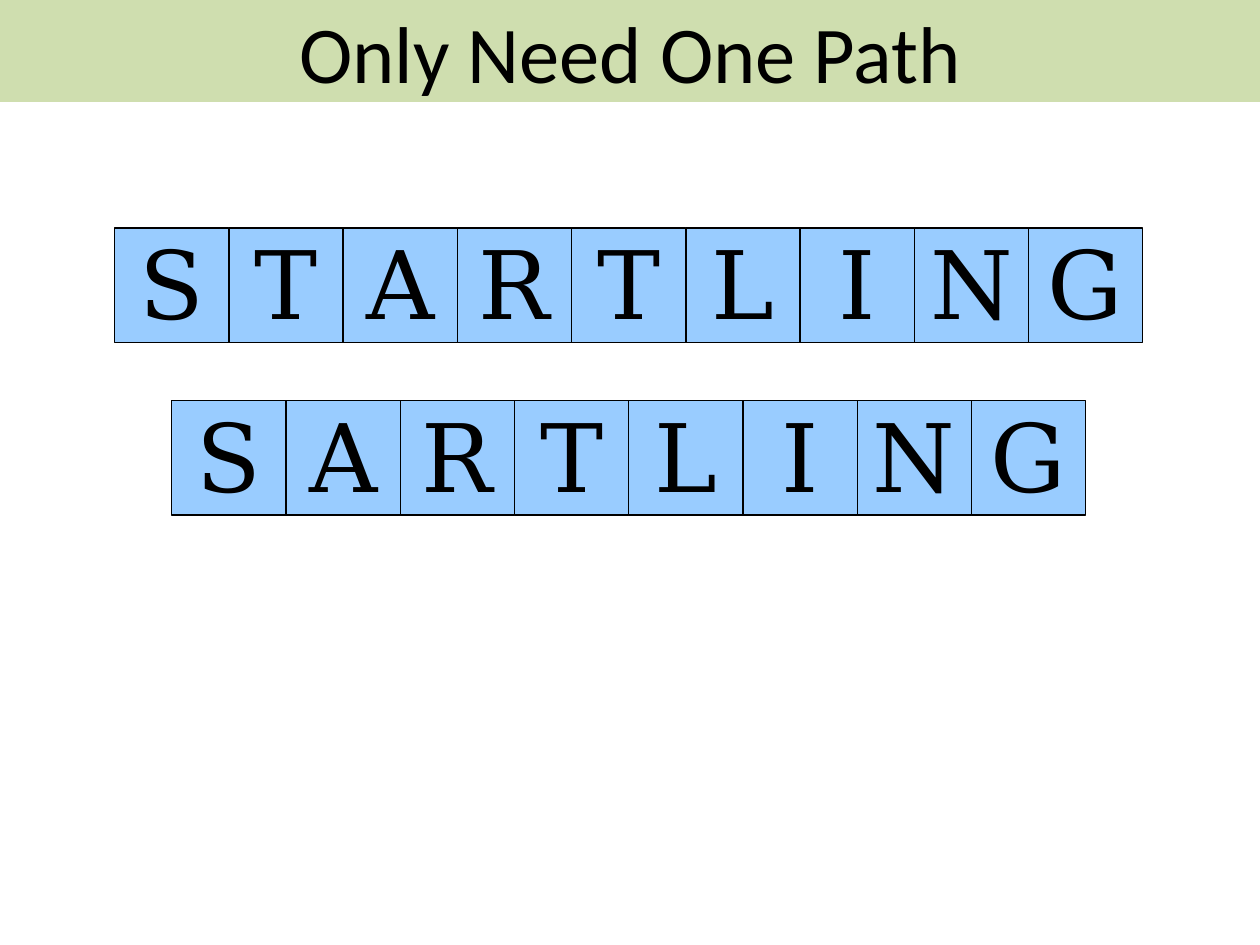
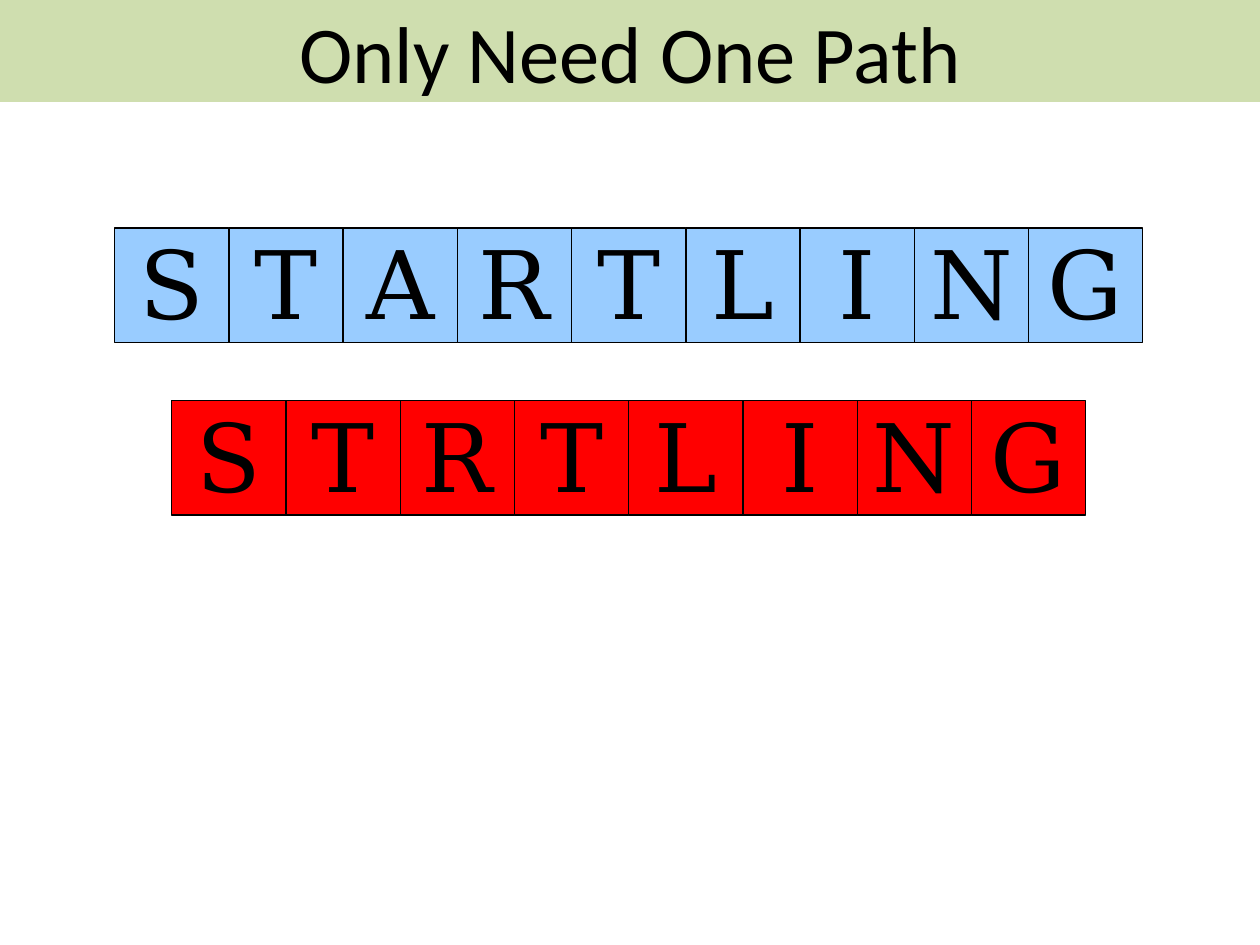
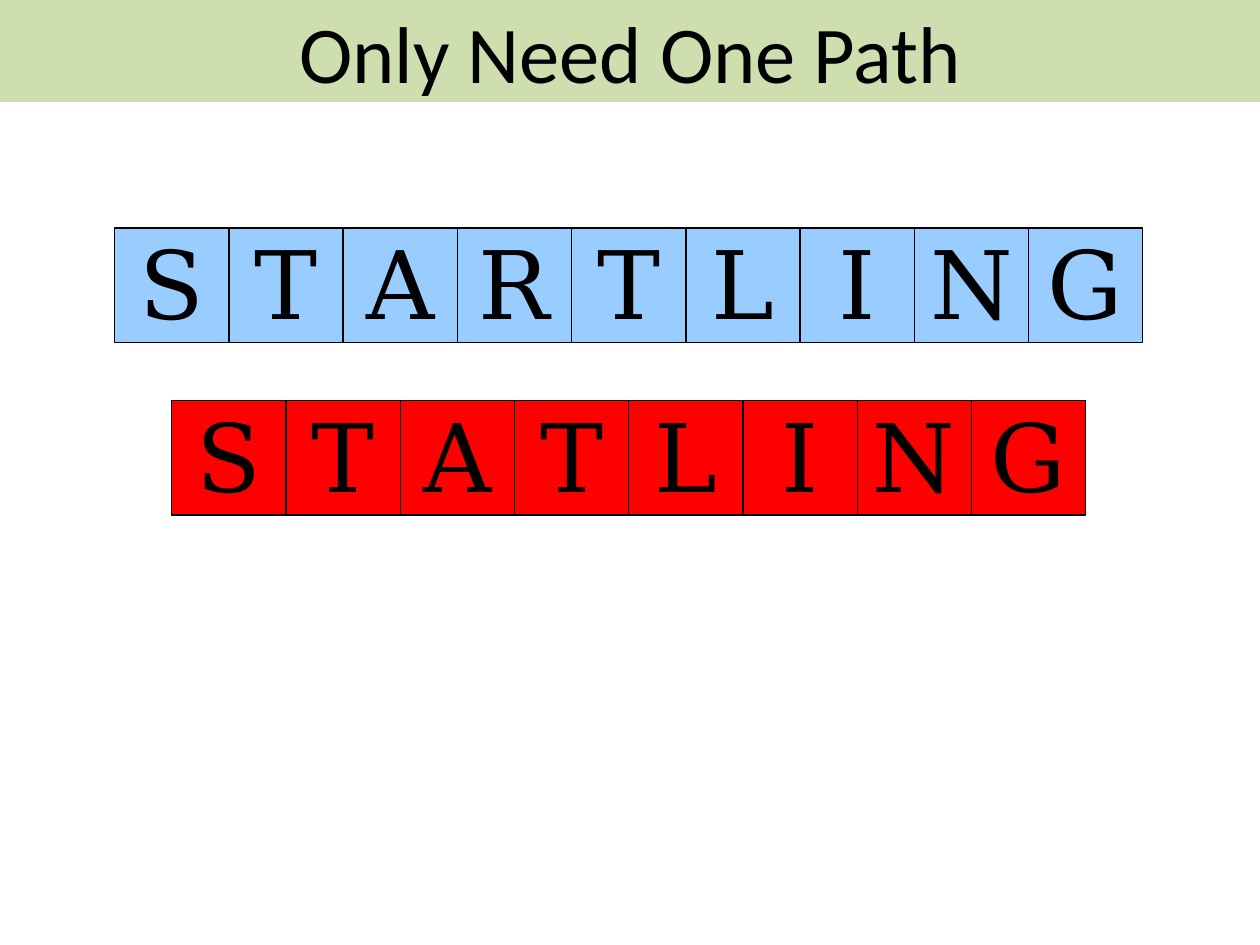
from lxml import etree
from pptx import Presentation
from pptx import util as u
from pptx.dml.color import RGBColor
from pptx.enum import shapes, text
from pptx.oxml.ns import qn

# Content: each slide shows a word and the word with one letter removed
TITLE = "Only Need One Path"
WORD = "STARTLING"
BLUE, RED, GREEN, BLACK = "99CCFF", "FF0000", "C3D69B", "000000"
REMOVALS = [("SARTLING", BLUE), ("STRTLING", RED), ("STATLING", RED)]

# Layout in inches
SLIDE_WIDTH, SLIDE_HEIGHT = 10, 7.5
BAND_HEIGHT = 0.81
BAND_OPACITY = 80
ROW_CENTER = 4.99
TILE = 8.16 / len(WORD)
WORD_TOP, REMOVAL_TOP = 1.81, 3.18

# Formats
TITLE_FONT = {"name": "Calibri", "size": u.Pt(46)}
TILE_FONT = {"name": "DejaVu Serif", "size": u.Pt(54)}
TITLE_FRAME = {
    "auto_size": text.MSO_AUTO_SIZE.NONE,
    "vertical_anchor": text.MSO_ANCHOR.MIDDLE,
    "word_wrap": True,
}
TILE_FRAME = {
    "margin_left": u.Inches(0.09),
    "margin_top": u.Inches(0.06),
    "margin_right": u.Inches(0.09),
    "margin_bottom": u.Inches(0.04),
    "vertical_anchor": text.MSO_ANCHOR.MIDDLE,
    "word_wrap": False,
}
TITLE_PARAGRAPH = {"alignment": text.PP_ALIGN.CENTER}
TILE_PARAGRAPH = {"alignment": text.PP_ALIGN.CENTER, "line_spacing": 0.98}


def set_color(color_format, value):
    color_format.rgb = RGBColor.from_string(value)


def apply(target, values):
    for name, value in values.items():
        setattr(target, name, value)


def fill_shape(shape, color):
    shape.fill.solid()
    set_color(shape.fill.fore_color, color)


def write(shape, words, frame_format, paragraph_format, font_format):
    apply(shape.text_frame, frame_format)
    paragraph = shape.text_frame.paragraphs[0]
    apply(paragraph, paragraph_format)
    run = paragraph.add_run()
    run.text = words
    apply(run.font, font_format)
    set_color(run.font.color, BLACK)


def add_title(slide):
    title = slide.shapes.title
    apply(title, {"left": 0, "top": 0, "width": u.Inches(SLIDE_WIDTH),
                  "height": u.Inches(BAND_HEIGHT)})
    fill_shape(title, GREEN)
    # Make the band slightly transparent
    color = title.fill._xPr.find(".//" + qn("a:srgbClr"))
    etree.SubElement(color, qn("a:alpha"), val=str(BAND_OPACITY * 1000))
    write(title, TITLE, TITLE_FRAME, TITLE_PARAGRAPH, TITLE_FONT)


def add_tiles(slide, word, top, color):
    left = ROW_CENTER - len(word) * TILE / 2
    for index, letter in enumerate(word):
        tile = slide.shapes.add_shape(
            shapes.MSO_SHAPE.RECTANGLE, u.Inches(left + index * TILE),
            u.Inches(top), u.Inches(TILE), u.Inches(TILE))
        tile.shadow.inherit = False
        fill_shape(tile, color)
        set_color(tile.line.color, BLACK)
        tile.line.width = u.Pt(0.75)
        write(tile, letter, TILE_FRAME, TILE_PARAGRAPH, TILE_FONT)


def main():
    presentation = Presentation()
    presentation.slide_width = u.Inches(SLIDE_WIDTH)
    presentation.slide_height = u.Inches(SLIDE_HEIGHT)
    title_only = presentation.slide_layouts.get_by_name("Title Only")
    for removal, color in REMOVALS:
        slide = presentation.slides.add_slide(title_only)
        add_title(slide)
        add_tiles(slide, WORD, WORD_TOP, BLUE)
        add_tiles(slide, removal, REMOVAL_TOP, color)
    presentation.save("out.pptx")


if __name__ == "__main__":
    main()
